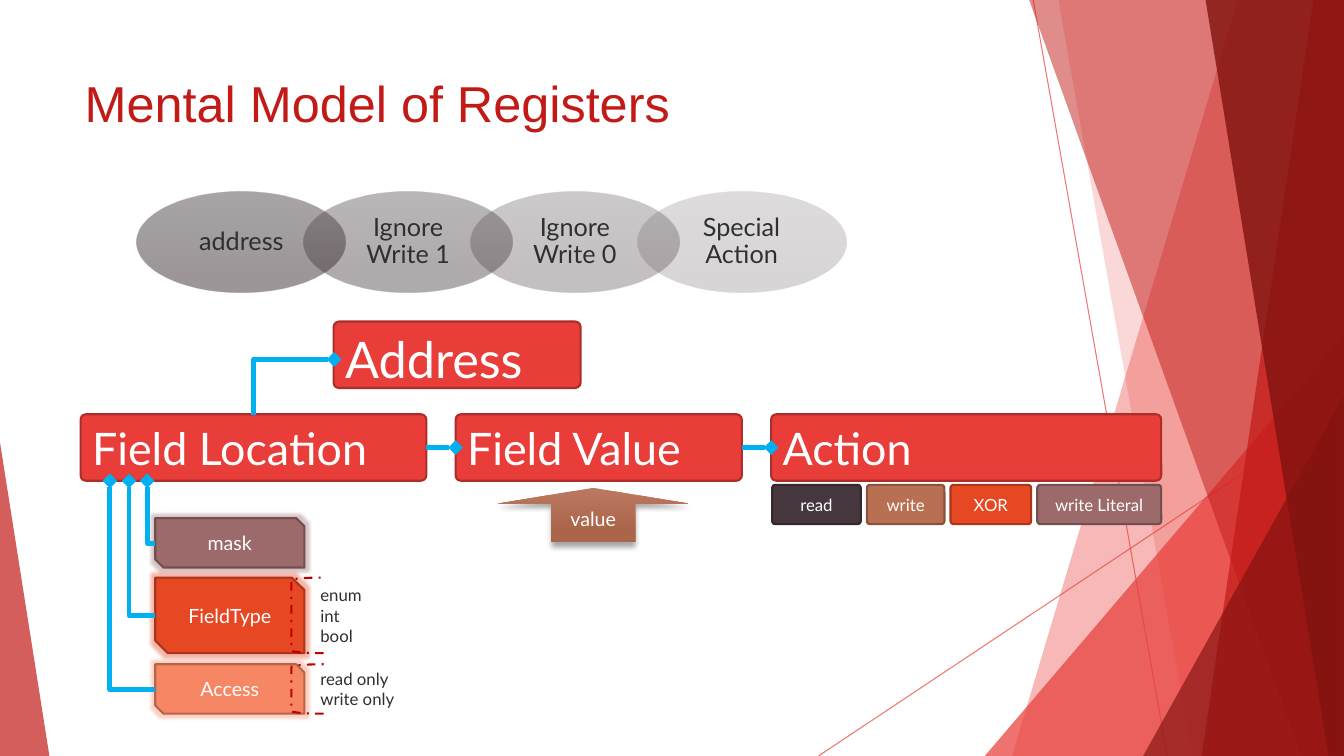
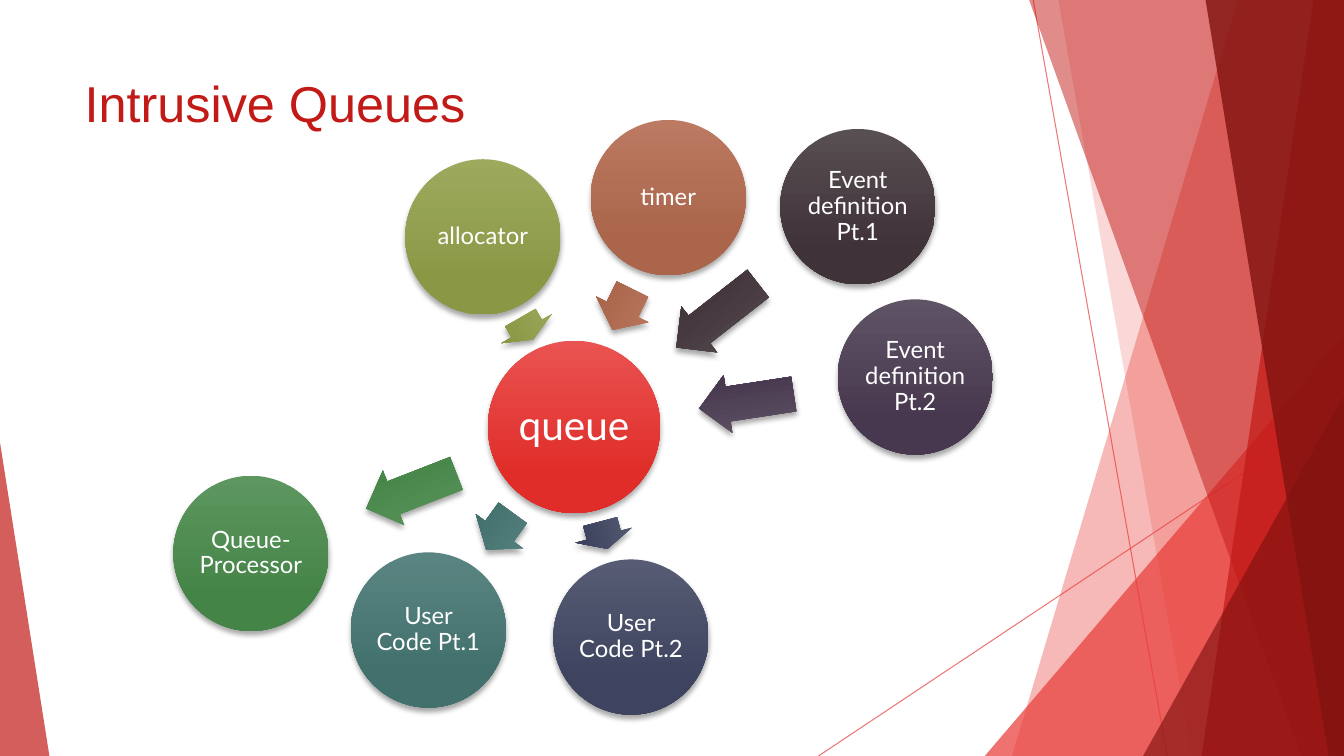
from dataclasses import dataclass
from typing import Any, Optional, Union

from lxml.etree import SubElement
from pptx import Presentation
from pptx.dml.color import RGBColor
from pptx.enum.dml import MSO_LINE
from pptx.enum.shapes import MSO_CONNECTOR as Link, MSO_SHAPE as Preset
from pptx.enum.text import MSO_ANCHOR as Anchor, MSO_AUTO_SIZE as AutoSize, PP_ALIGN as Align
from pptx.oxml.ns import qn
from pptx.util import Emu, Pt

# Grid: one column or row is a tenth of an inch
CELL = 91440
COLUMNS, ROWS = 133.33, 75

# Shared look
RED, DEEP_RED, DARK_RED = "E83D39", "C21A17", "81120F"
ORANGE, MAUVE, CLAY, PLUM, PEACH = "E64823", "9C6A6A", "B86F52", "45373D", "F78764"
BLUE, BRACKET_RED, INK, WHITE = "00B0F0", "C00000", "303031", "FFFFFF"
BODY_FONT, TITLE_FONT = "Lato", "Arial"
Fill = Union[str, tuple[str, str], None]


@dataclass
class Box:
    left: float
    top: float
    width: float
    height: float

    def place(self) -> list[Emu]:
        return [cells(n) for n in (self.left, self.top, self.width, self.height)]


@dataclass
class Facet:
    """A full-height band that reaches the right edge."""
    top_left: float
    bottom_left: float
    color: str
    opacity: int


@dataclass
class Wedge:
    box: Box
    peak: float
    color: str
    opacity: int


@dataclass
class Tile:
    text: str
    box: Box
    color: str
    size: int


@dataclass
class Wire:
    begin: tuple[float, float]
    end: tuple[float, float]
    turn: Optional[int] = None  # rotation of an elbow, None for a straight wire


@dataclass
class Satellite:
    text: str
    left: float
    top: float
    colors: tuple[str, str]
    arrow: Box
    turn: float


# Formatting helpers
def cells(count: float) -> Emu:
    return Emu(round(count * CELL))


def color(code: str) -> RGBColor:
    return RGBColor.from_string(code)


def darker(code: str, share: float = 0.74) -> str:
    return "".join(f"{round(int(code[i:i + 2], 16) * share):02X}" for i in (0, 2, 4))


def apply(target: Any, values: dict[str, Any]) -> None:
    for name, value in values.items():
        setattr(target, name, value)


def fade(shape: Any, opacity: int) -> None:
    for node in shape.element.iter(qn("a:srgbClr")):
        SubElement(node, qn("a:alpha"), val=str(opacity * 1000))


def add_effect(shape: Any, kind: str, code: str, opacity: int, **values: str) -> None:
    effects = shape.element.spPr.find(qn("a:effectLst"))
    effect = SubElement(effects, qn(f"a:{kind}"), **values)
    tint = SubElement(effect, qn("a:srgbClr"), val=code)
    SubElement(tint, qn("a:alpha"), val=str(opacity * 1000))


def add_shadow(shape: Any) -> None:
    add_effect(shape, "outerShdw", "000000", 35, blurRad=str(Pt(4)), dist=str(Pt(3)),
               dir="5400000", algn="ctr", rotWithShape="0")


def paint(shape: Any, fill: Fill, opacity: int = 100, border: Optional[str] = None) -> None:
    shape.shadow.inherit = False
    if fill is None:
        shape.fill.background()
    elif isinstance(fill, str):
        shape.fill.solid()
        shape.fill.fore_color.rgb = color(fill)
    else:
        shape.fill.gradient()
        shape.fill.gradient_angle = 270
        for stop, code, position in zip(shape.fill.gradient_stops, fill, (0, 0.78)):
            stop.color.rgb = color(code)
            stop.position = position
    if opacity < 100:
        fade(shape, opacity)
    if border:
        shape.line.color.rgb = color(border)
        shape.line.width = Pt(1.5)
    else:
        shape.line.fill.background()


def write(shape: Any, lines: list[str], size: float, code: str = WHITE, font: str = BODY_FONT,
          align: Align = Align.CENTER, spacing: float = 1.0, **frame_values: Any) -> None:
    frame = shape.text_frame
    apply(frame, {"word_wrap": True, "vertical_anchor": Anchor.MIDDLE} | frame_values)
    for number, line in enumerate(lines):
        para = frame.add_paragraph() if number else frame.paragraphs[0]
        apply(para, {"alignment": align, "line_spacing": spacing})
        span = para.add_run()
        span.text = line
        apply(span.font, {"size": Pt(size), "name": font})
        span.font.color.rgb = color(code)


def margins(side: float, end: float) -> dict[str, Emu]:
    return {"margin_left": cells(side), "margin_right": cells(side),
            "margin_top": cells(end), "margin_bottom": cells(end)}


# Drawing helpers
def add_preset(page: Any, kind: Preset, box: Box, fill: Fill, opacity: int = 100,
               border: Optional[str] = None, adjust: tuple[float, ...] = ()) -> Any:
    shape = page.shapes.add_shape(kind, *box.place())
    for number, value in enumerate(adjust):
        shape.adjustments[number] = value
    paint(shape, fill, opacity, border)
    return shape


def add_line(page: Any, begin: tuple[float, float], end: tuple[float, float],
             code: str, width: float, kind: Link = Link.STRAIGHT) -> Any:
    line = page.shapes.add_connector(kind, *(cells(n) for n in (*begin, *end)))
    line.line.color.rgb = color(code)
    line.line.width = Pt(width)
    SubElement(line.element.spPr, qn("a:effectLst"))
    return line


def add_wire(page: Any, wire: Wire) -> None:
    elbow = wire.turn is not None
    line = add_line(page, wire.begin, wire.end, BLUE, 3.5, Link.ELBOW if elbow else Link.STRAIGHT)
    properties = line.element.spPr
    SubElement(properties.find(qn("a:ln")), qn("a:tailEnd"), type="diamond")
    if elbow:
        properties.find(qn("a:prstGeom")).set("prst", "bentConnector2")
        properties.find(qn("a:xfrm")).set("rot", str(wire.turn * 60000))


def add_bar(page: Any, tile: Tile, align: Align, **frame_values: Any) -> None:
    bar = add_preset(page, Preset.ROUNDED_RECTANGLE, tile.box, tile.color,
                     border=darker(tile.color), adjust=(0.08,))
    write(bar, [tile.text], tile.size, align=align, **frame_values)


def add_page(deck: Any, title: str) -> Any:
    page = deck.slides.add_slide(deck.slide_layouts[5])
    box = page.shapes.title
    apply(box, dict(zip(("left", "top", "width", "height"), Box(7.4, 6.7, 94, 14.4).place())))
    write(box, [title], 36, DEEP_RED, TITLE_FONT, Align.LEFT,
          vertical_anchor=Anchor.TOP, auto_size=AutoSize.NONE)
    return page


# Faceted backdrop, kept on the layout both slides use
RAYS = [((102.5, 0), (115.8, 75)), ((133.33, 40.3), (81.2, 75))]
BACKDROP: list[Union[Facet, Wedge]] = [
    Facet(122.8, 100.4, RED, 36),
    Facet(105, 118.3, RED, 20),
    Wedge(Box(97.7, 33.3, 35.6, 41.7), 1, RED, 72),
    Facet(102.1, 129.1, DEEP_RED, 50),
    Facet(130.3, 119.2, DEEP_RED, 70),
    Facet(119.6, 131.8, DARK_RED, 80),
    Wedge(Box(113.4, 39.3, 19.9, 35.7), 1, DARK_RED, 66),
    Wedge(Box(0, 43.9, 4.9, 31.1), 0, DEEP_RED, 70),
]


def add_backdrop(page: Any) -> None:
    parts = []
    for begin, end in RAYS:
        ray = add_line(page, begin, end, RED, 0.75)
        fade(ray, 70)
        parts.append(ray)
    for part in BACKDROP:
        if isinstance(part, Wedge):
            shape = add_preset(page, Preset.ISOSCELES_TRIANGLE, part.box, part.color,
                               part.opacity, adjust=(part.peak,))
        else:
            corners = [(cells(x), cells(y)) for x, y in (
                (part.top_left, 0), (COLUMNS, 0), (COLUMNS, ROWS), (part.bottom_left, ROWS))]
            outline = page.shapes.build_freeform(*corners[0])
            outline.add_line_segments(corners[1:], close=True)
            shape = outline.convert_to_shape()
            paint(shape, part.color, part.opacity)
        parts.append(shape)
    for number, part in enumerate(parts, 20):
        next(part.element.iter(qn("p:cNvPr"))).set("id", str(number))
        page.slide_layout.shapes.element.append(part.element)


# Slide 1: register model
BARS = [
    Tile("Action", Box(76.5, 41.1, 38.7, 6.6), RED, 32),
    Tile("Field Value", Box(45.2, 41.1, 28.4, 6.6), RED, 32),
    Tile("Field Location", Box(8, 41.1, 34.3, 6.6), RED, 32),
]
ACTIONS = [("read", 76.6, 8.8, PLUM), ("write", 86, 7.7, CLAY),
           ("XOR", 94.3, 8, ORANGE), ("write Literal", 102.9, 12.3, MAUVE)]
PARTS = [
    (Tile("mask", Box(15.4, 51.4, 14.8, 4.9), MAUVE, 14), []),
    (Tile("FieldType", Box(15.4, 57.3, 14.8, 7.5), ORANGE, 14), ["enum", "int", "bool"]),
    (Tile("Access", Box(15.4, 65.9, 14.8, 4.9), PEACH, 14), ["read only", "write only"]),
]
WIRES = [
    Wire((14.6, 47.7), (15.4, 53.9), 180),
    Wire((12.8, 47.7), (15.4, 61.1), 180),
    Wire((10.9, 47.7), (15.4, 68.4), 180),
    Wire((73.6, 44.4), (76.5, 44.4)),
    Wire((42.3, 44.4), (45.2, 44.4)),
    Wire((31.9, 42.4), (26.4, 34.4), 90),
]
OVALS = [("address", ("544C50", "392E33")), ("Ignore Write 1", ("564E51", "3C3035")),
         ("Ignore Write 0", ("574F52", "3E3137")), ("Special Action", ("595054", "403339"))]


def draw_registers(page: Any) -> None:
    for number, (text, shades) in enumerate(OVALS):
        oval = add_preset(page, Preset.OVAL, Box(13.6 + 16.54 * number, 19, 20.7, 10),
                          shades, 50 - 10 * number)
        write(oval, [text], 18, INK, spacing=0.9, **margins(1.2, 0.3))
    for bar in BARS:
        add_bar(page, bar, Align.LEFT)
    add_bar(page, Tile("Address", Box(33.1, 31.9, 24.5, 6.6), RED, 36), Align.LEFT,
            margin_top=cells(1.3))
    for text, left, width, shade in ACTIONS:
        add_bar(page, Tile(text, Box(left, 48.1, width, 3.9), shade, 12), Align.CENTER)
    arrow = add_preset(page, Preset.UP_ARROW, Box(49.4, 48.4, 18.9, 5.4),
                       ("BC7962", "AA654A"), adjust=(0.44, 0.29))
    add_shadow(arrow)
    write(arrow, ["value"], 14)
    # Field parts with their bracketed options
    for tile, options in PARTS:
        card = add_preset(page, Preset.SNIP_2_DIAG_RECTANGLE, tile.box, tile.color,
                          border=darker(tile.color))
        add_effect(card, "glow", tile.color, 40, rad=str(Pt(5)))
        write(card, [tile.text], tile.size)
        if options:
            top, height = tile.box.top, tile.box.height
            bracket = add_preset(page, Preset.LEFT_BRACKET, Box(28.9, top, 3.2, height),
                                 None, border=BRACKET_RED)
            bracket.line.dash_style = MSO_LINE.DASH_DOT
            note = page.shapes.add_textbox(*Box(30.8, top, 15, height).place())
            write(note, options, 12, INK, align=Align.LEFT)
    for wire in WIRES:
        add_wire(page, wire)


# Slide 2: queue and its satellites
SATELLITES = [
    Satellite("Event definition Pt.1", 77.4, 12.8, ("584F53", "3F3238"), Box(66, 28.4, 10.3, 5.8), 142),
    Satellite("Event definition Pt.2", 83.1, 29.7, ("5F5465", "48384F"), Box(69.3, 36.9, 9.5, 5.8), 171.3),
    Satellite("User Code Pt.2", 54.9, 55.5, ("575C74", "3E445F"), Box(58.5, 50.2, 2.8, 5.8), 75),
    Satellite("User Code Pt.1", 34.8, 54.8, ("5A8481", "42716D"), Box(47.3, 49.8, 4.5, 5.8), 125.9),
    Satellite("Queue-Processor", 17.2, 47.2, ("5D975F", "448447"), Box(36, 45.8, 9.6, 5.8), 158.7),
    Satellite("allocator", 40.2, 15.8, ("9DAA5E", "8A9846"), Box(51, 29.7, 2.5, 5.8), 60),
    Satellite("timer", 58.6, 11.9, ("BC7A62", "AA654A"), Box(59.5, 27.8, 4.5, 5.8), 116.1),
]


def add_circle(page: Any, text: str, left: float, top: float, diameter: float,
               shades: tuple[str, str], size: int, inset: float) -> None:
    circle = add_preset(page, Preset.OVAL, Box(left, top, diameter, diameter), shades)
    add_shadow(circle)
    write(circle, [text], size, spacing=0.9, **margins(inset, inset))


def draw_queue(page: Any) -> None:
    add_circle(page, "queue", 48.4, 33.8, 17.1, ("E95351", "E02D29"), 29, 0.4)
    for moon in SATELLITES:
        arrow = add_preset(page, Preset.RIGHT_ARROW, moon.arrow, moon.colors, adjust=(0.6, 0.5))
        arrow.rotation = moon.turn
        add_shadow(arrow)
        add_circle(page, moon.text, moon.left, moon.top, 15.4, moon.colors, 17, 0.2)


def main() -> None:
    deck = Presentation()
    apply(deck, {"slide_width": cells(COLUMNS), "slide_height": cells(ROWS)})
    registers = add_page(deck, "Mental Model of Registers")
    add_backdrop(registers)
    draw_registers(registers)
    draw_queue(add_page(deck, "Intrusive Queues"))
    deck.save("out.pptx")


if __name__ == "__main__":
    main()
